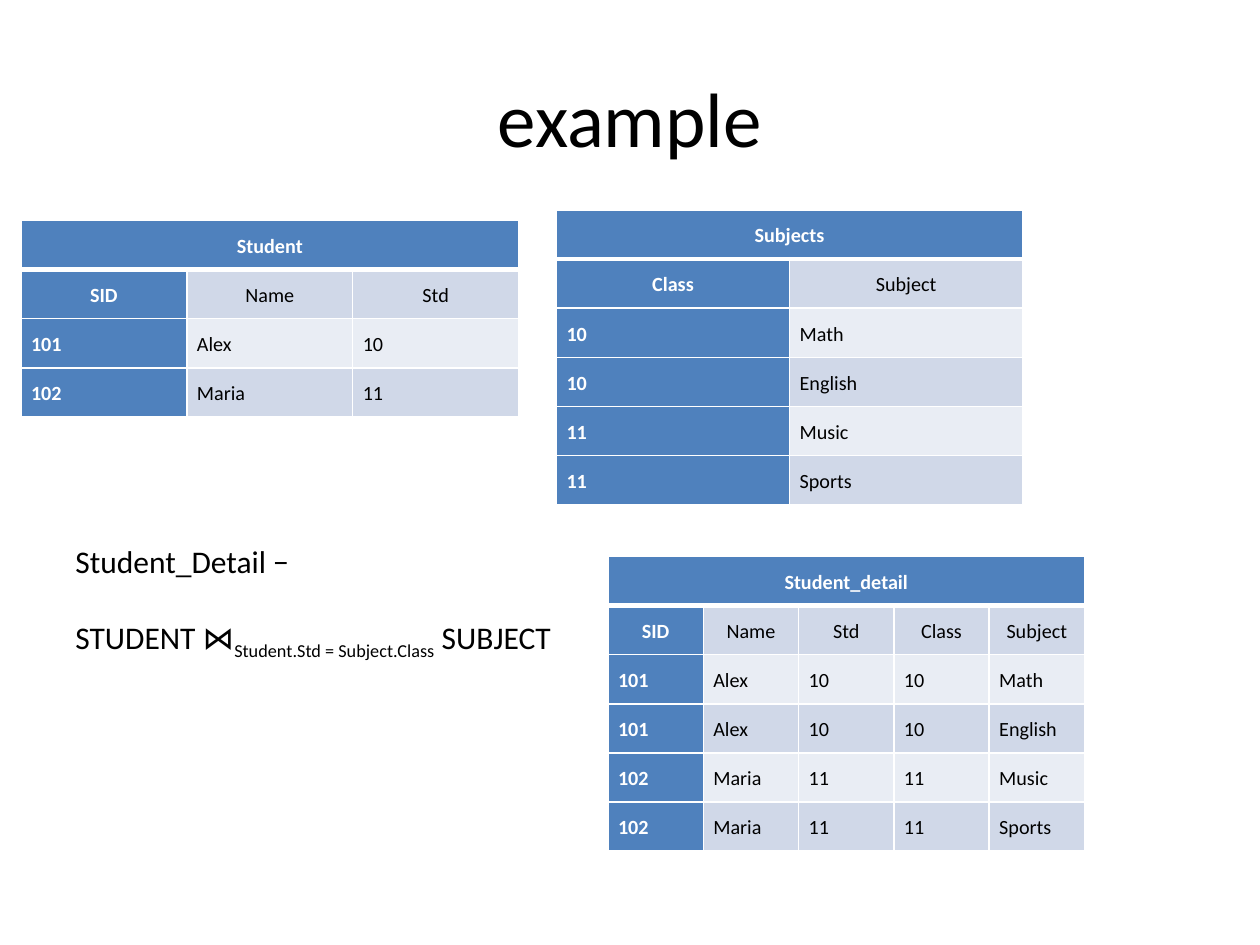
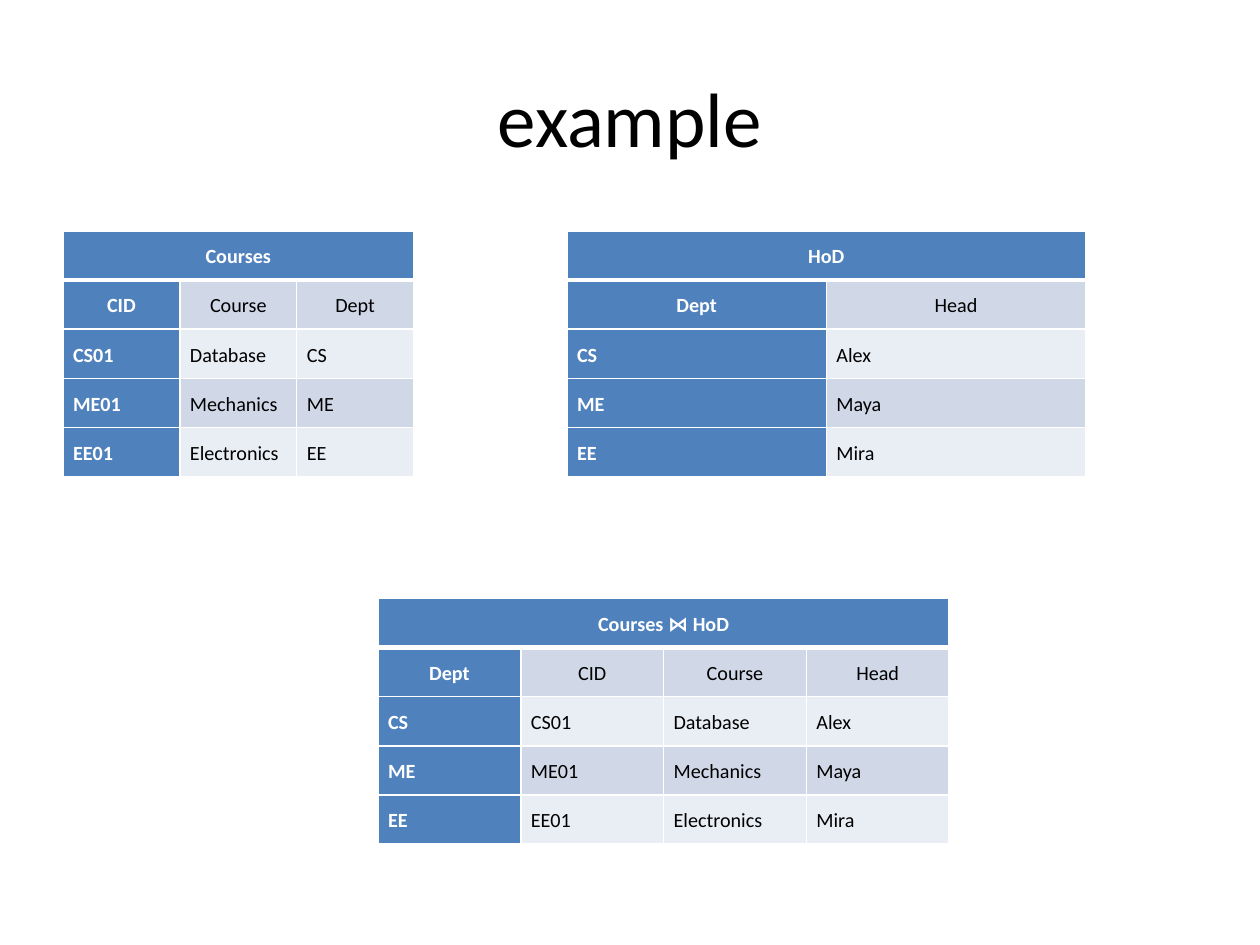
import pptx
import pptx.dml.color
import pptx.enum.text
import pptx.oxml
import pptx.oxml.ns
import pptx.util
from lxml import etree

BLUE = pptx.dml.color.RGBColor(0x4F, 0x81, 0xBD)
BAND_DARK = pptx.dml.color.RGBColor(0xD0, 0xD8, 0xE8)
BAND_LIGHT = pptx.dml.color.RGBColor(0xE9, 0xED, 0xF4)
WHITE = pptx.dml.color.RGBColor(0xFF, 0xFF, 0xFF)
BLACK = pptx.dml.color.RGBColor(0x00, 0x00, 0x00)

FONT = "Calibri"
SLIDE_W = pptx.util.Inches(10)
SLIDE_H = pptx.util.Inches(7.5)
GRID_COLS = 120
GRID_ROWS = 90
ROW_HEIGHT = pptx.util.Inches(0.39)
CELL_MARGIN = pptx.util.Inches(0.08)
CENTER = pptx.enum.text.PP_ALIGN.CENTER
LEFT = pptx.enum.text.PP_ALIGN.LEFT


def across(cols):
    return round(SLIDE_W * cols / GRID_COLS)


def down(rows):
    return round(SLIDE_H * rows / GRID_ROWS)


def add_run(p, text, size, color=BLACK, bold=False, baseline=None):
    r = p.add_run()
    r.text = text
    r.font.name = FONT
    r.font.size = pptx.util.Pt(size)
    r.font.bold = bold
    r.font.color.rgb = color
    if baseline is not None:
        r.font._element.set("baseline", str(baseline * 1000))


def add_titled_slide(prs, title):
    s = prs.slides.add_slide(prs.slide_layouts[5])
    sp = s.shapes.title
    sp.left, sp.top = across(6), down(3.6)
    sp.width, sp.height = across(108), down(15)
    tf = sp.text_frame
    tf.vertical_anchor = pptx.enum.text.MSO_ANCHOR.MIDDLE
    p = tf.paragraphs[0]
    p.alignment = CENTER
    add_run(p, title, 44)
    return s


def set_borders(cell, top, bottom):
    tc_pr = cell._tc.get_or_add_tcPr()
    for side, width in (("L", 1), ("R", 1), ("T", top), ("B", bottom)):
        ln = etree.SubElement(tc_pr, pptx.oxml.ns.qn(f"a:ln{side}"), w=str(pptx.util.Pt(width)))
        fill = etree.SubElement(ln, pptx.oxml.ns.qn("a:solidFill"))
        etree.SubElement(fill, pptx.oxml.ns.qn("a:srgbClr"), val=str(WHITE))


def format_cell(cell, row, col):
    set_borders(cell, 3 if row == 1 else 1, 3 if row == 0 else 1)
    cell.margin_left = cell.margin_right = CELL_MARGIN
    cell.margin_top = cell.margin_bottom = CELL_MARGIN
    cell.fill.solid()
    if row == 0 or col == 0:
        cell.fill.fore_color.rgb = BLUE
    else:
        cell.fill.fore_color.rgb = BAND_DARK if row % 2 else BAND_LIGHT


def write_cell(cell, text, row, col):
    key = row == 0 or col == 0
    p = cell.text_frame.paragraphs[0]
    p.alignment = CENTER if row < 2 else LEFT
    p.line_spacing = 1.15
    add_run(p, text, 11.5, WHITE if key else BLACK, key)


def add_relation(s, name, fields, records, left, top, width):
    rows = [[name], fields, *records]
    frame = s.shapes.add_table(len(rows), len(fields), across(left), down(top),
                               across(width), ROW_HEIGHT * len(rows))
    table = frame.table
    for column in table.columns:
        column.width = across(width / len(fields))
    for i in range(len(rows)):
        table.rows[i].height = ROW_HEIGHT
        for j in range(len(fields)):
            format_cell(table.cell(i, j), i, j)
    table.cell(0, 0).merge(table.cell(0, len(fields) - 1))
    for i, row in enumerate(rows):
        for j, text in enumerate(row):
            write_cell(table.cell(i, j), text, i, j)


def add_join_formula(s):
    tf = s.shapes.add_textbox(across(6), down(51), across(52), down(12.1)).text_frame
    tf.word_wrap = True
    add_run(tf.paragraphs[0], "Student_Detail −", 18)
    p = tf.add_paragraph()
    p.space_before = pptx.util.Pt(22)
    add_run(p, "STUDENT ⋈", 18)
    add_run(p, "Student.Std = Subject.Class", 18, baseline=-25)
    add_run(p, " SUBJECT", 18)


def add_theta_join(prs):
    students = [["101", "Alex", "10"], ["102", "Maria", "11"]]
    subjects = [["10", "Math"], ["10", "English"], ["11", "Music"], ["11", "Sports"]]
    details = [student + subject for student in students for subject in subjects
               if student[2] == subject[0]]
    s = add_titled_slide(prs, "example")
    add_relation(s, "Student", ["SID", "Name", "Std"], students, 2, 21, 47.4)
    add_relation(s, "Subjects", ["Class", "Subject"], subjects, 53, 20, 44.4)
    add_join_formula(s)
    add_relation(s, "Student_detail", ["SID", "Name", "Std", "Class", "Subject"],
                 details, 57.9, 53, 45.4)


def add_natural_join(prs):
    courses = [["CS01", "Database", "CS"], ["ME01", "Mechanics", "ME"],
               ["EE01", "Electronics", "EE"]]
    heads = [["CS", "Alex"], ["ME", "Maya"], ["EE", "Mira"]]
    joined = [[dept, cid, course, head] for cid, course, dept in courses
              for head_dept, head in heads if dept == head_dept]
    s = add_titled_slide(prs, "example")
    add_relation(s, "Courses", ["CID", "Course", "Dept"], courses, 6, 22, 33.4)
    add_relation(s, "HoD", ["Dept", "Head"], heads, 54, 22, 49.4)
    add_relation(s, "Courses ⋈ HoD", ["Dept", "CID", "Course", "Head"], joined, 36, 57, 54.4)


def main():
    prs = pptx.Presentation()
    prs.slide_width = SLIDE_W
    prs.slide_height = SLIDE_H
    add_theta_join(prs)
    add_natural_join(prs)
    prs.save("out.pptx")


if __name__ == "__main__":
    main()
